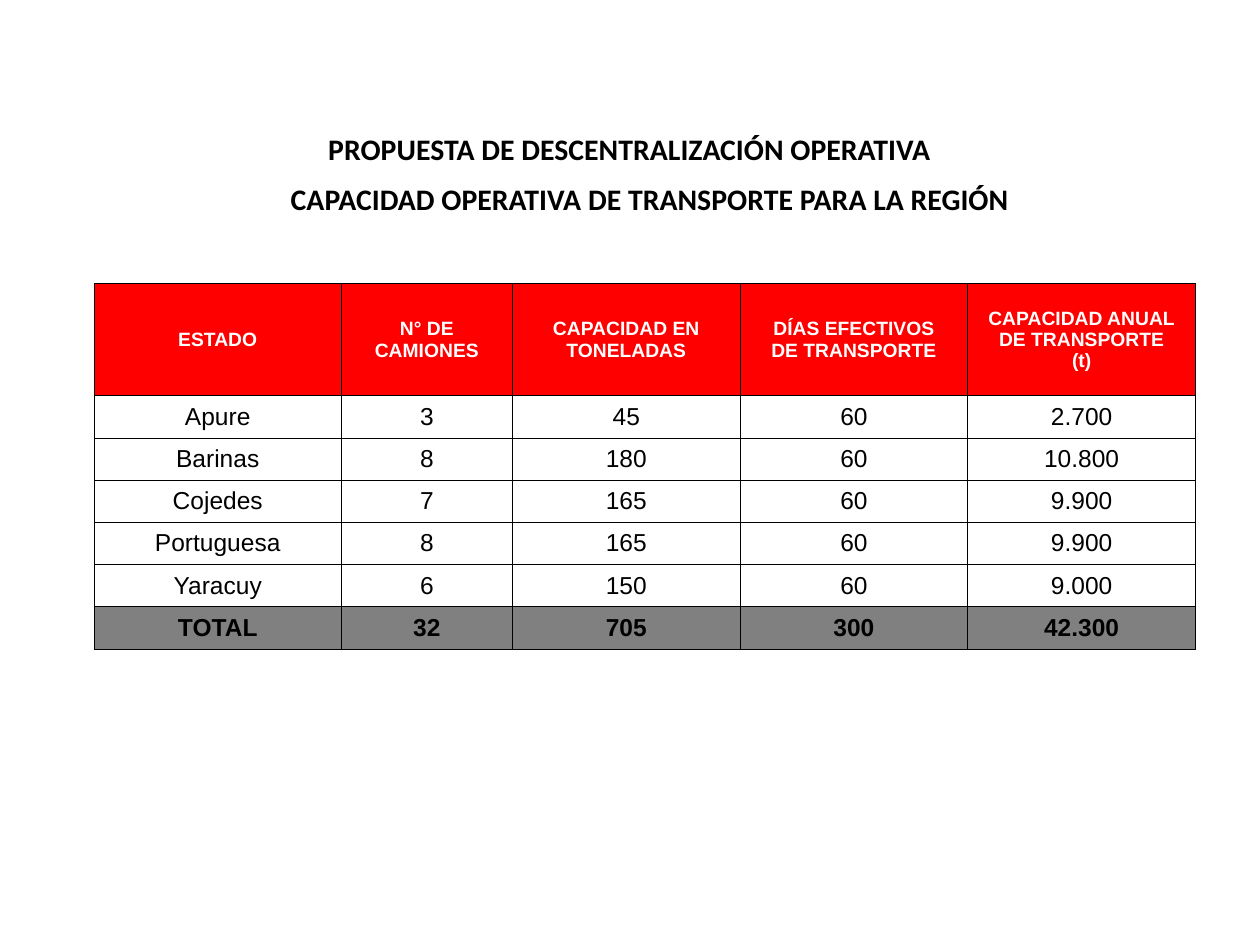
from lxml.etree import SubElement
from pptx import Presentation
from pptx.dml.color import RGBColor
from pptx.enum.text import MSO_ANCHOR as Anchor, PP_ALIGN as Align
from pptx.oxml.ns import qn
from pptx.util import Cm, Pt


def style(paragraph, font_name, size, color, bold):
    paragraph.alignment = Align.CENTER
    font = paragraph.font
    font.name, font.size, font.bold = font_name, Pt(size), bold
    font.color.rgb = RGBColor.from_string(color)


def add_border(cell, color, width):
    for side in ("a:lnL", "a:lnR", "a:lnT", "a:lnB"):
        line = SubElement(cell._tc.get_or_add_tcPr(), qn(side), w=str(Pt(width)))
        fill = SubElement(line, qn("a:solidFill"))
        SubElement(fill, qn("a:srgbClr"), val=color)


prs = Presentation()
prs.slide_width, prs.slide_height = Cm(25.4), Cm(19.05)
slide = prs.slides.add_slide(prs.slide_layouts[5])

title = slide.shapes.title
title.left, title.top, title.width, title.height = Cm(3.89), Cm(2.51), Cm(17.6), Cm(0.99)
subtitle = slide.shapes.add_textbox(Cm(1.9), Cm(3.52), Cm(22.4), Cm(0.99))
for heading, wording in (
    (title, "PROPUESTA DE DESCENTRALIZACIÓN OPERATIVA"),
    (subtitle, "CAPACIDAD OPERATIVA DE TRANSPORTE PARA LA REGIÓN"),
):
    frame = heading.text_frame
    frame.text = wording
    frame.word_wrap = True
    frame.vertical_anchor = Anchor.TOP
    style(frame.paragraphs[0], "Calibri", 17, "000000", True)

rows = [
    ("ESTADO", "N° DE\nCAMIONES", "CAPACIDAD EN\nTONELADAS",
     "DÍAS EFECTIVOS\nDE TRANSPORTE", "CAPACIDAD ANUAL\nDE TRANSPORTE\n(t)"),
    ("Apure", "3", "45", "60", "2.700"),
    ("Barinas", "8", "180", "60", "10.800"),
    ("Cojedes", "7", "165", "60", "9.900"),
    ("Portuguesa", "8", "165", "60", "9.900"),
    ("Yaracuy", "6", "150", "60", "9.000"),
    ("TOTAL", "32", "705", "300", "42.300"),
]
column_widths = [4.98, 3.45, 4.59, 4.59, 4.59]
header_look = (2.26, 11, "FFFFFF", True, "FF0000")
state_look = (0.85, 14, "000000", False, None)
total_look = (0.86, 14, "000000", True, "808080")
looks = [header_look] + [state_look] * (len(rows) - 2) + [total_look]

capacity = slide.shapes.add_table(
    len(rows), len(column_widths), Cm(1.9), Cm(5.72),
    Cm(sum(column_widths)), Cm(sum(look[0] for look in looks)),
).table
capacity.first_row = capacity.horz_banding = False
for column, width in zip(capacity.columns, column_widths):
    column.width = Cm(width)

for row, values, (height, size, color, bold, background) in zip(capacity.rows, rows, looks):
    row.height = Cm(height)
    for cell, value in zip(row.cells, values):
        cell.text = value
        cell.vertical_anchor = Anchor.MIDDLE
        cell.margin_left = cell.margin_right = Cm(0.15)
        add_border(cell, "000000", 0.45)
        if background:
            cell.fill.solid()
            cell.fill.fore_color.rgb = RGBColor.from_string(background)
        else:
            cell.fill.background()
        for paragraph in cell.text_frame.paragraphs:
            style(paragraph, "Arial", size, color, bold)

prs.save("out.pptx")
